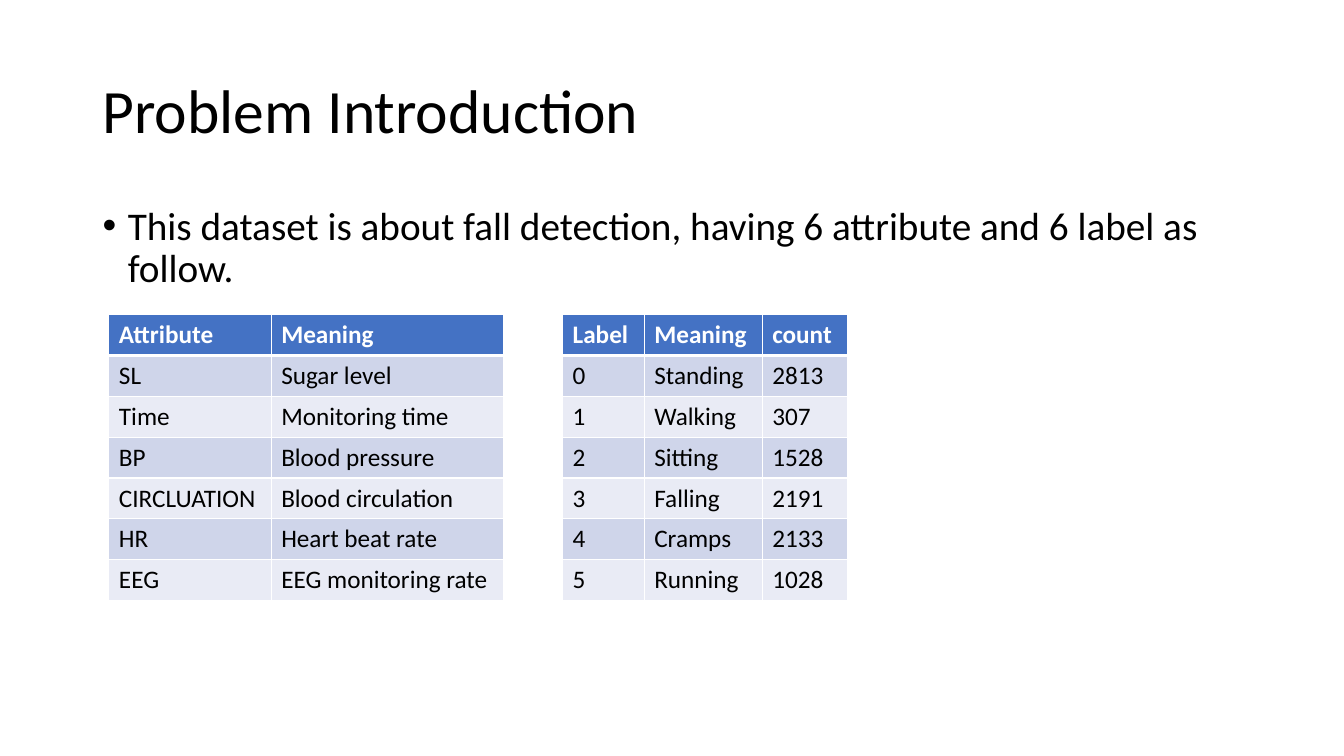
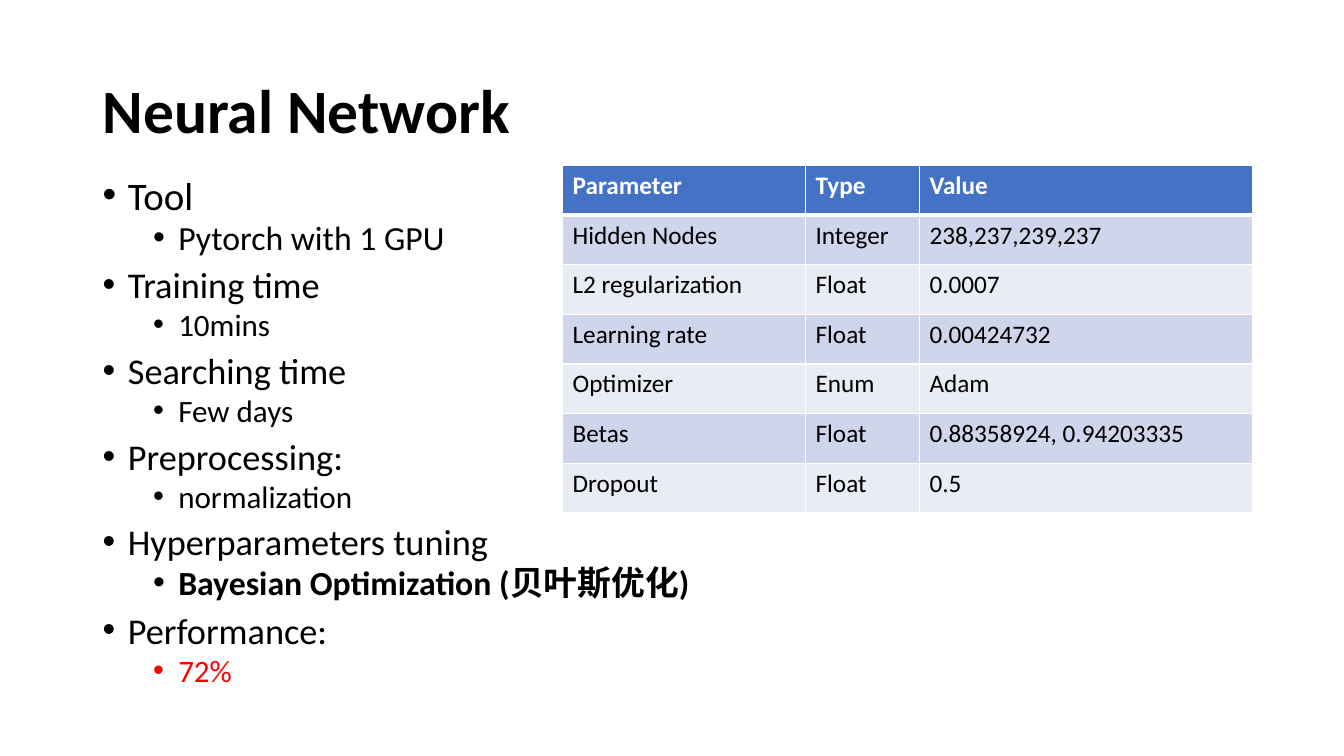
from dataclasses import dataclass
from lxml.etree import SubElement
from pptx import Presentation
from pptx.dml.color import RGBColor
from pptx.enum.text import MSO_ANCHOR
from pptx.oxml.ns import qn
from pptx.slide import Slide
from pptx.table import _Cell
from pptx.text.text import TextFrame, _Paragraph
from pptx.util import Inches, Pt

FONT = "Calibri"
BLACK, WHITE, RED = "000000", "FFFFFF", "FF0000"
HEAD = "4472C4"
BANDS = ("CFD5EA", "E9EBF5")
LEFT, WIDE = 0.92, 11.5


@dataclass
class Grid:
    left: float
    top: float
    high: float
    cols: tuple[float, ...]
    rows: list[tuple[str, ...]]


@dataclass
class Point:
    text: str
    size: float
    level: int = 0
    bold: bool = False
    color: str = BLACK


def rgb(code: str) -> RGBColor:
    return RGBColor.from_string(code)


def write(para: _Paragraph, text: str, *, size: float = 18,
          bold: bool = False, color: str = BLACK) -> None:
    run = para.add_run()
    run.text = text
    font = run.font
    font.name, font.size, font.bold = FONT, Pt(size), bold
    font.color.rgb = rgb(color)


def add_box(slide: Slide, left: float, top: float,
            wide: float, high: float) -> TextFrame:
    box = slide.shapes.add_textbox(
        Inches(left), Inches(top), Inches(wide), Inches(high))
    box.text_frame.word_wrap = True
    return box.text_frame


def add_title(slide: Slide, text: str, bold: bool = False) -> None:
    frame = add_box(slide, LEFT, 0.4, WIDE, 1.45)
    frame.vertical_anchor = MSO_ANCHOR.MIDDLE
    para = frame.paragraphs[0]
    para.line_spacing = 0.9
    write(para, text, size=44, bold=bold)


def add_list(slide: Slide, top: float, high: float,
             points: list[Point], lines: float) -> None:
    frame = add_box(slide, LEFT, top, WIDE, high)
    for i, point in enumerate(points):
        para = frame.add_paragraph() if i else frame.paragraphs[0]
        para.level = point.level
        para.line_spacing = lines
        if i:
            para.space_before = Pt(5 if point.level else 10)
        props = para._p.get_or_add_pPr()
        props.set("marL", str(Inches(0.25 + 0.5 * point.level)))
        props.set("indent", str(Inches(-0.25)))
        SubElement(props, qn("a:buFont"), typeface="Arial")
        SubElement(props, qn("a:buChar"), char="•")
        write(para, point.text, size=point.size, bold=point.bold,
              color=point.color)


def add_edges(cell: _Cell, row: int) -> None:
    """Draw white cell borders, thicker below the header row."""
    props = cell._tc.get_or_add_tcPr()
    thick = {0: "lnB", 1: "lnT"}.get(row)
    for side in ("lnL", "lnR", "lnT", "lnB"):
        width = Pt(3 if side == thick else 1)
        line = SubElement(props, qn(f"a:{side}"), w=str(width))
        fill = SubElement(line, qn("a:solidFill"))
        SubElement(fill, qn("a:srgbClr"), val=WHITE)


def add_grid(slide: Slide, grid: Grid) -> None:
    count = len(grid.rows)
    table = slide.shapes.add_table(
        count, len(grid.cols), Inches(grid.left), Inches(grid.top),
        Inches(sum(grid.cols)), Inches(grid.high)).table
    for col, wide in zip(table.columns, grid.cols):
        col.width = Inches(wide)
    for r, texts in enumerate(grid.rows):
        table.rows[r].height = Inches(grid.high / count)
        head = r == 0
        for c, text in enumerate(texts):
            cell = table.cell(r, c)
            add_edges(cell, r)
            cell.fill.solid()
            cell.fill.fore_color.rgb = rgb(HEAD if head else BANDS[(r - 1) % 2])
            write(cell.text_frame.paragraphs[0], text, bold=head,
                  color=WHITE if head else BLACK)


TRAITS = Grid(1.08, 3.12, 2.84, (1.61, 2.3), [
    ("Attribute", "Meaning"),
    ("SL", "Sugar level"),
    ("Time", "Monitoring time"),
    ("BP", "Blood pressure"),
    ("CIRCLUATION", "Blood circulation"),
    ("HR", "Heart beat rate"),
    ("EEG", "EEG monitoring rate"),
])
LABELS = Grid(5.58, 3.12, 2.84, (0.81, 1.17, 0.85), [
    ("Label", "Meaning", "count"),
    ("0", "Standing", "2813"),
    ("1", "Walking", "307"),
    ("2", "Sitting", "1528"),
    ("3", "Falling", "2191"),
    ("4", "Cramps", "2133"),
    ("5", "Running", "1028"),
])
PARAMS = Grid(5.58, 1.64, 3.45, (2.41, 1.13, 3.3), [
    ("Parameter", "Type", "Value"),
    ("Hidden Nodes", "Integer", "238,237,239,237"),
    ("L2 regularization", "Float", "0.0007"),
    ("Learning rate", "Float", "0.00424732"),
    ("Optimizer", "Enum", "Adam"),
    ("Betas", "Float", "0.88358924, 0.94203335"),
    ("Dropout", "Float", "0.5"),
])
INTRO = [Point("This dataset is about fall detection, having 6 attribute "
               "and 6 label as follow.", 28)]
FACTS = [
    Point("Tool", 27.8),
    Point("Pytorch with 1 GPU", 24.1, 1),
    Point("Training time", 25.9),
    Point("10mins", 22.2, 1),
    Point("Searching time", 25.9),
    Point("Few days", 22.2, 1),
    Point("Preprocessing:", 25.9),
    Point("normalization", 22.2, 1),
    Point("Hyperparameters tuning", 25.9),
    Point("Bayesian Optimization (贝叶斯优化)", 24.1, 1, bold=True),
    Point("Performance:", 25.9),
    Point("72%", 22.2, 1, color=RED),
]


def main() -> None:
    deck = Presentation()
    deck.slide_width, deck.slide_height = Inches(13.33), Inches(7.5)
    blank = deck.slide_layouts[6]

    intro = deck.slides.add_slide(blank)
    add_title(intro, "Problem Introduction")
    add_list(intro, 2, 4.76, INTRO, 0.9)
    add_grid(intro, TRAITS)
    add_grid(intro, LABELS)

    model = deck.slides.add_slide(blank)
    add_title(model, "Neural Network", bold=True)
    add_list(model, 1.74, 5.16, FACTS, 0.8)
    add_grid(model, PARAMS)

    deck.save("out.pptx")


if __name__ == "__main__":
    main()
